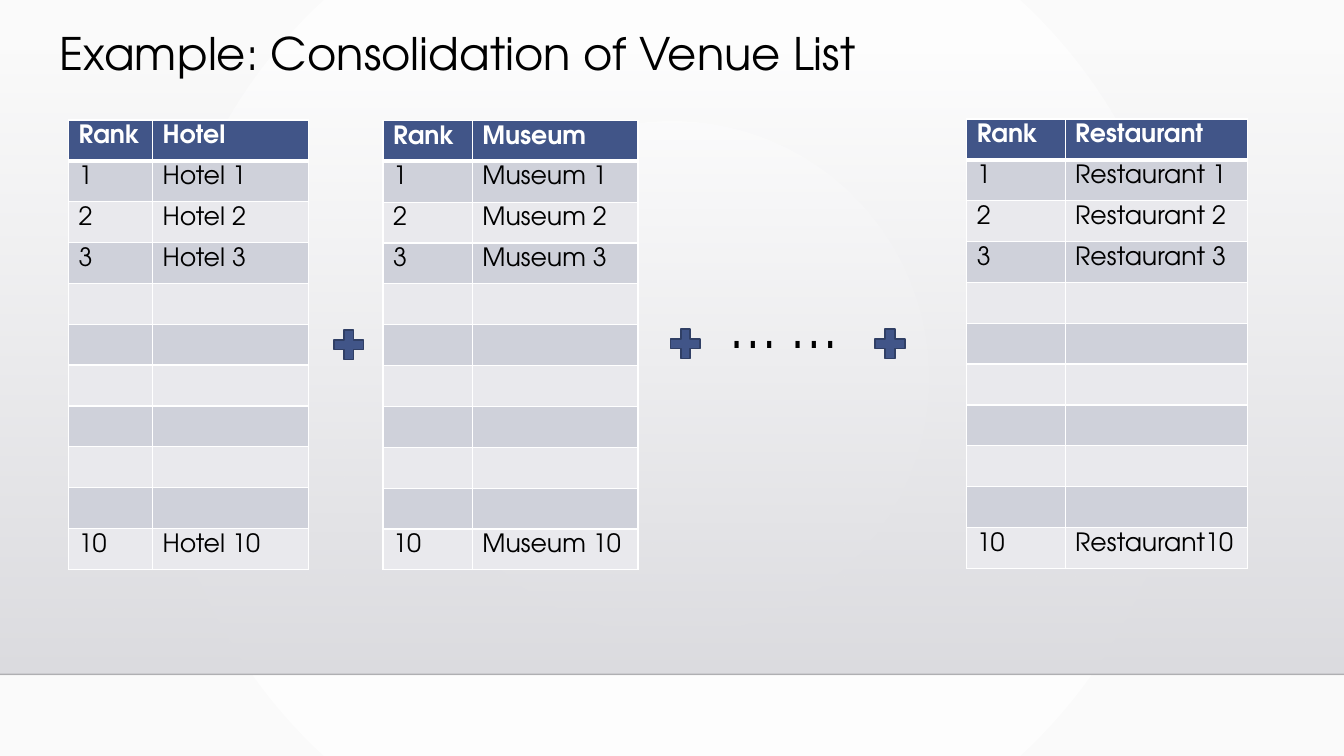
import dataclasses

import lxml.etree
import pptx
import pptx.dml.color
import pptx.enum.shapes
import pptx.enum.text
import pptx.oxml
import pptx.oxml.ns
import pptx.util

COLUMNS, ROWS = 160, 90
SLIDE_WIDTH = pptx.util.Inches(13.33)
SLIDE_HEIGHT = pptx.util.Inches(7.5)
NAMESPACES = pptx.oxml.ns.nsdecls("a", "p")
RANKS = 10
LISTED_RANKS = (1, 2, 3, 10)
RANK_COLUMN_SHARE = 0.35


@dataclasses.dataclass(frozen=True)
class Theme:
    font: str = "TeX Gyre Adventor"
    text: str = "000000"
    white: str = "FFFFFF"
    backdrop_edge: str = "FAFAFA"
    panel_top: str = "DCDCE0"
    panel_bottom: str = "DEDEE2"
    rule: str = "000001"
    accent: str = "415588"
    accent_line: str = "303F65"
    bands: tuple = ("E9E9ED", "CFD1DA")
    title_size: int = 32
    table_size: int = 18
    dots_size: int = 40


@dataclasses.dataclass(frozen=True)
class Box:
    """A rectangle in columns and rows of the slide grid."""
    column: float
    row: float
    columns: float
    rows: float

    def place(self):
        across, down = SLIDE_WIDTH / COLUMNS, SLIDE_HEIGHT / ROWS
        return (round(self.column * across), round(self.row * down),
                round(self.columns * across), round(self.rows * down))


THEME = Theme()


def rgb(color):
    return pptx.dml.color.RGBColor.from_string(color)


def write_text(frame, text, size, color=THEME.text, bold=False, line_spacing=None):
    paragraph = frame.paragraphs[0]
    paragraph.line_spacing = line_spacing
    paragraph.alignment = pptx.enum.text.PP_ALIGN.LEFT
    run = paragraph.add_run()
    run.text = text
    run.font.name = THEME.font
    run.font.size = pptx.util.Pt(size)
    run.font.bold = bold
    run.font.color.rgb = rgb(color)


def gradient(stops, direction):
    """Return gradFill markup from (position, colour, opacity) stops in percent."""
    stop_list = "".join(
        f'<a:gs pos="{position * 1000}"><a:srgbClr val="{color}">'
        f'<a:alpha val="{opacity * 1000}"/></a:srgbClr></a:gs>'
        for position, color, opacity in stops)
    return (f'<a:gradFill {NAMESPACES} rotWithShape="1"><a:gsLst>{stop_list}</a:gsLst>'
            f'{direction}</a:gradFill>')


def set_background(slide):
    center = ('<a:path path="circle"><a:fillToRect l="50000" t="50000" '
              'r="50000" b="50000"/></a:path>')
    fill = gradient([(0, THEME.white, 100), (100, THEME.backdrop_edge, 100)], center)
    background = pptx.oxml.parse_xml(
        f"<p:bg {NAMESPACES}><p:bgPr>{fill}<a:effectLst/></p:bgPr></p:bg>")
    slide.element.cSld.insert(0, background)


def add_panel(slide, box):
    """Add the shaded panel with the thin rule along its lower edge."""
    left, top, width, height = box.place()
    panel = slide.shapes.add_shape(
        pptx.enum.shapes.MSO_SHAPE.RECTANGLE, left, top, width, height)
    panel.shadow.inherit = False
    panel.line.fill.background()
    fill = gradient([(0, THEME.panel_top, 0), (100, THEME.panel_bottom, 100)],
                    '<a:lin ang="5400000" scaled="0"/>')
    geometry = panel.element.spPr.find(pptx.oxml.ns.qn("a:prstGeom"))
    geometry.addnext(pptx.oxml.parse_xml(fill))

    rule = slide.shapes.add_connector(
        pptx.enum.shapes.MSO_CONNECTOR.STRAIGHT, left, top + height, left + width, top + height)
    rule.line.width = pptx.util.Pt(1)
    rule.line.color.rgb = rgb(THEME.rule)
    rule_color = next(rule.element.iter(pptx.oxml.ns.qn("a:srgbClr")))
    lxml.etree.SubElement(rule_color, pptx.oxml.ns.qn("a:alpha"), val="20000")
    lxml.etree.SubElement(rule.element.spPr, pptx.oxml.ns.qn("a:effectLst"))


def add_title(slide, box, text):
    title = slide.shapes.title
    title.left, title.top, title.width, title.height = box.place()
    title.text_frame.vertical_anchor = pptx.enum.text.MSO_ANCHOR.TOP
    title.text_frame.word_wrap = True
    write_text(title.text_frame, text, size=THEME.title_size, line_spacing=0.9)
    slide.shapes.element.append(title.element)  # in front of the panel


def set_borders(cell, bottom_width):
    properties = cell._tc.get_or_add_tcPr()
    for index, (side, width) in enumerate(
            [("L", 1), ("R", 1), ("T", 1), ("B", bottom_width)]):
        border = pptx.oxml.parse_xml(
            f'<a:ln{side} {NAMESPACES} w="{pptx.util.Pt(width)}"><a:solidFill>'
            f'<a:srgbClr val="{THEME.white}"/></a:solidFill></a:ln{side}>')
        properties.insert(index, border)


def add_venue_table(slide, box, venue, last_separator=" "):
    left, top, width, height = box.place()
    table = slide.shapes.add_table(RANKS + 1, 2, left, top, width, height).table
    table.columns[0].width = round(width * RANK_COLUMN_SHARE)
    table.columns[1].width = width - table.columns[0].width
    for rank, row in enumerate(table.rows):
        row.height = height // (RANKS + 1)
        is_header = rank == 0
        separator = last_separator if rank == RANKS else " "
        if is_header:
            texts = ("Rank", venue)
        elif rank in LISTED_RANKS:
            texts = (str(rank), f"{venue}{separator}{rank}")
        else:
            texts = ("", "")
        for cell, text in zip(row.cells, texts):
            cell.vertical_anchor = pptx.enum.text.MSO_ANCHOR.TOP
            cell.margin_top = cell.margin_bottom = pptx.util.Inches(0.05)
            cell.fill.solid()
            cell.fill.fore_color.rgb = rgb(THEME.accent if is_header else THEME.bands[rank % 2])
            set_borders(cell, bottom_width=3 if is_header else 1)
            if text:
                write_text(cell.text_frame, text, size=THEME.table_size, bold=is_header,
                           color=THEME.white if is_header else THEME.text)


def add_plus(slide, box):
    plus = slide.shapes.add_shape(pptx.enum.shapes.MSO_SHAPE.MATH_PLUS, *box.place())
    plus.shadow.inherit = False
    plus.fill.solid()
    plus.fill.fore_color.rgb = rgb(THEME.accent)
    plus.line.color.rgb = rgb(THEME.accent_line)
    plus.line.width = pptx.util.Pt(1.25)


def add_dots(slide, box):
    dots = slide.shapes.add_textbox(*box.place())
    dots.text_frame.word_wrap = False
    write_text(dots.text_frame, "… …", size=THEME.dots_size)


def main():
    presentation = pptx.Presentation()
    presentation.slide_width = SLIDE_WIDTH
    presentation.slide_height = SLIDE_HEIGHT
    slide = presentation.slides.add_slide(presentation.slide_layouts.get_by_name("Title Only"))

    set_background(slide)
    add_panel(slide, Box(0, 6.12, COLUMNS, 74.16))
    add_title(slide, Box(5.88, 3.24, 126, 9.96), "Example: Consolidation of Venue List")
    add_venue_table(slide, Box(8.16, 14.28, 28.56, 53.52), "Hotel")
    add_venue_table(slide, Box(45.6, 14.34, 30.36, 53.52), "Museum")
    add_venue_table(slide, Box(115.08, 14.16, 33.48, 53.52), "Restaurant", last_separator="")
    for column, row in [(39.12, 38.64), (79.2, 38.52), (103.56, 38.52)]:
        add_plus(slide, Box(column, row, 4.8, 4.8))
    add_dots(slide, Box(85.8, 34.2, 17.76, 9.24))
    presentation.save("out.pptx")


if __name__ == "__main__":
    main()
